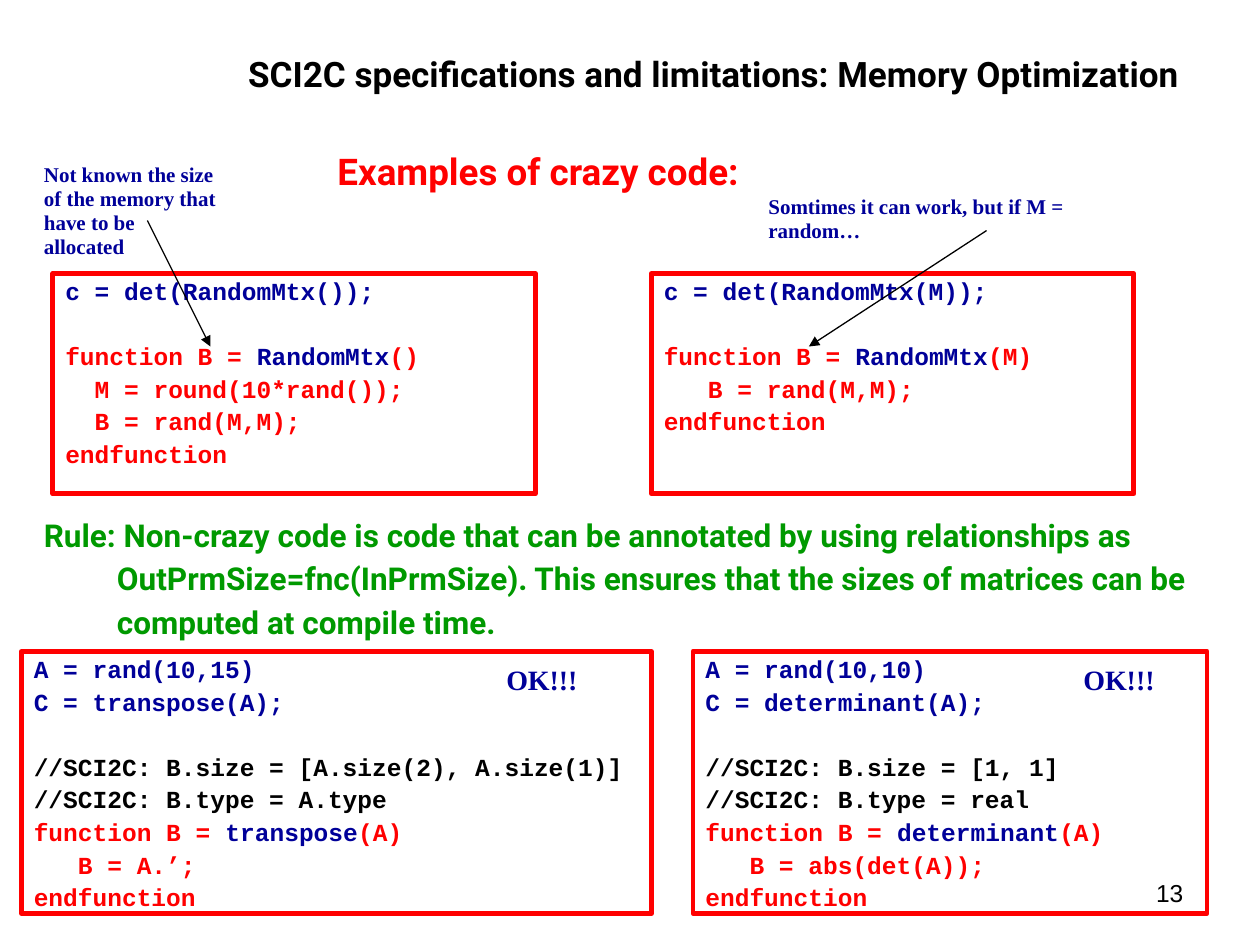
from lxml import etree
from pptx import Presentation
from pptx.dml.color import RGBColor
from pptx.enum import shapes, text
from pptx.oxml.ns import qn
from pptx.util import Inches, Pt

COLORS = {"black": "000000", "red": "FF0000", "navy": "000099", "green": "009900"}
HANG = Inches(0.58)
CODE_GAP = 3.5
BLANK_LINE = 18.5


def color(name):
    return RGBColor.from_string(COLORS[name])


def style_run(run, size, font, ink, bold=True):
    run.font.size = Pt(size)
    run.font.name = font
    run.font.bold = bold
    run.font.color.rgb = color(ink)


def hang(paragraph):
    """Indent every line but the first."""
    properties = paragraph._p.get_or_add_pPr()
    properties.set("marL", str(HANG))
    properties.set("indent", str(-HANG))


def add_label(slide, box, words, size, font, ink, spacing=0.95, bold=True):
    label = slide.shapes.add_textbox(*map(Inches, box))
    frame = label.text_frame
    frame.word_wrap = True
    frame.text = words
    paragraph = frame.paragraphs[0]
    paragraph.line_spacing = spacing
    style_run(paragraph.runs[0], size, font, ink, bold)
    return paragraph


def add_title(slide, box, words):
    title = slide.shapes.title
    title.left, title.top, title.width, title.height = map(Inches, box)
    frame = title.text_frame
    frame.text = words
    frame.auto_size = text.MSO_AUTO_SIZE.NONE
    frame.vertical_anchor = text.MSO_ANCHOR.MIDDLE
    paragraph = frame.paragraphs[0]
    paragraph.alignment = text.PP_ALIGN.CENTER
    paragraph.line_spacing = 1.01
    style_run(paragraph.runs[0], 20, "Roboto", "black")


def add_code(slide, box, calls, comments, name, arguments, body):
    """Draw a framed listing: calls, a gap, comments and a function."""
    frame_box = slide.shapes.add_shape(shapes.MSO_SHAPE.RECTANGLE, *map(Inches, box))
    frame_box.shadow.inherit = False
    frame_box.fill.background()
    frame_box.line.color.rgb = color("red")
    frame_box.line.width = Pt(2.75)

    lines = [[(call, "navy")] for call in calls]
    lines += [[(comment, "black")] for comment in comments]
    lines.append([("function B = ", "red"), (name, "navy"), (arguments, "red")])
    lines += [[(line, "red")] for line in body + ["endfunction"]]

    frame = frame_box.text_frame
    frame.word_wrap = True
    frame.vertical_anchor = text.MSO_ANCHOR.TOP
    for index, parts in enumerate(lines):
        paragraph = frame.add_paragraph() if index else frame.paragraphs[0]
        paragraph.alignment = text.PP_ALIGN.LEFT
        paragraph.line_spacing = 0.9
        hang(paragraph)
        if index:
            gap = CODE_GAP + (BLANK_LINE if index == len(calls) else 0)
            paragraph.space_before = Pt(gap)
        for words, ink in parts:
            run = paragraph.add_run()
            run.text = words
            style_run(run, 14, "Courier New", ink)


def add_arrow(slide, start, end):
    arrow = slide.shapes.add_connector(
        shapes.MSO_CONNECTOR.STRAIGHT, *map(Inches, start + end))
    arrow.line.color.rgb = color("black")
    arrow.line.width = Pt(0.75)
    line = arrow.line._get_or_add_ln()
    etree.SubElement(line, qn("a:tailEnd"), type="triangle")
    etree.SubElement(arrow._element.spPr, qn("a:effectLst"))


def add_crazy_examples(slide, left, top):
    width, height, pitch = 3.83, 1.75, 4.75
    examples = [
        ("", ["  M = round(10*rand());", "  B = rand(M,M);"]),
        ("M", ["   B = rand(M,M);"]),
    ]
    for column, (argument, body) in enumerate(examples):
        add_code(slide, (left + column * pitch, top, width, height),
                 [f"c = det(RandomMtx({argument}));"], [],
                 "RandomMtx", f"({argument})", body)

    remarks = [
        ((left - 0.17, top - 0.92, 1.58, 0.86),
         "Not known the size of the memory that have to be allocated",
         (left + 0.75, top - 0.42), (left + 1.25, top + 0.58)),
        ((left + 5.58, top - 0.67, 3.25, 0.48),
         "Somtimes it can work, but if M = random…",
         (left + 7.41, top - 0.34), (left + 6, top + 0.58)),
    ]
    for box, words, start, end in remarks:
        add_label(slide, box, words, 12, "Times New Roman", "navy")
        add_arrow(slide, start, end)


def add_valid_examples(slide, left, top):
    height = 2.08
    examples = [
        (0, 5, 3.75, "15", "transpose",
         "[A.size(2), A.size(1)]", "A.type", "   B = A.’;"),
        (5.33, 4.08, 8.33, "10", "determinant",
         "[1, 1]", "real", "   B = abs(det(A));"),
    ]
    for offset, width, verdict, columns, name, size, kind, body in examples:
        add_code(slide, (left + offset, top, width, height),
                 [f"A = rand(10,{columns})", f"C = {name}(A);"],
                 [f"//SCI2C: B.size = {size}", f"//SCI2C: B.type = {kind}"],
                 name, "(A)", [body])
        add_label(slide, (left + verdict, top + 0.06, 1, 0.36),
                  "OK!!!", 16, "Times New Roman", "navy")


def main():
    deck = Presentation()
    deck.slide_width, deck.slide_height = Inches(10), Inches(7.5)
    slide = deck.slides.add_slide(deck.slide_layouts[5])

    add_title(slide, (1.5, 0.07, 8.33, 1.02),
              "SCI2C specifications and limitations: Memory Optimization")
    add_label(slide, (2.58, 1.08, 4.17, 0.58), "Examples of crazy code:",
              21, "Roboto", "red", 1.15)
    add_crazy_examples(slide, 0.42, 2.17)
    rule = add_label(
        slide, (0.25, 4, 9.58, 1.17),
        "Rule: Non-crazy code is code that can be annotated by using relationships as "
        "OutPrmSize=fnc(InPrmSize). This ensures that the sizes of matrices can be "
        "computed at compile time.", 18, "Roboto", "green", 1.15)
    hang(rule)
    add_valid_examples(slide, 0.17, 5.17)
    page_number = add_label(slide, (8.1, 6.92, 1.39, 0.34), "13",
                            14, "Arial", "black", 1, bold=False)
    page_number.alignment = text.PP_ALIGN.RIGHT

    deck.save("out.pptx")


if __name__ == "__main__":
    main()
